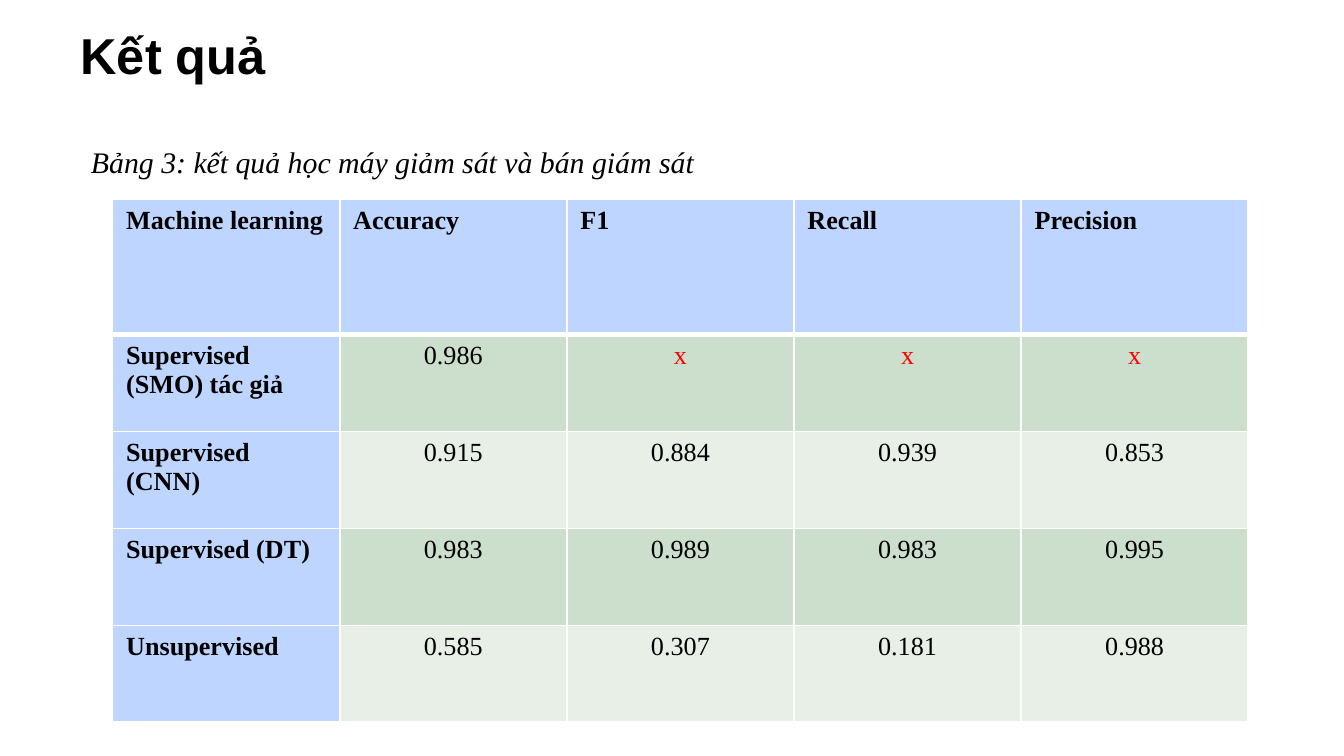
from lxml import etree
from pptx import Presentation
from pptx.dml.color import RGBColor
from pptx.enum.text import MSO_ANCHOR, MSO_AUTO_SIZE, PP_ALIGN
from pptx.oxml.ns import qn
from pptx.util import Cm, Pt

LEFT, CENTER = PP_ALIGN.LEFT, PP_ALIGN.CENTER
MIDDLE = MSO_ANCHOR.MIDDLE
NO_FIT, FIT_SHAPE = MSO_AUTO_SIZE.NONE, MSO_AUTO_SIZE.SHAPE_TO_FIT_TEXT

SANS, SERIF = "Arial", "Times New Roman"
BLACK, WHITE, RED = "000000", "FFFFFF", "FF0000"
HEADER_BLUE = "BED5FF"
BANDS = ("CCDECC", "E7EFE7")

RESULTS = [
    ("Machine learning", "Accuracy", "F1", "Recall", "Precision"),
    ("Supervised (SMO) tác giả", "0.986", "x", "x", "x"),
    ("Supervised (CNN)", "0.915", "0.884", "0.939", "0.853"),
    ("Supervised (DT)", "0.983", "0.989", "0.983", "0.995"),
    ("Unsupervised", "0.585", "0.307", "0.181", "0.988"),
]


def rgb(color):
    return RGBColor.from_string(color)


def set_text(tf, text, font, size, color=BLACK, bold=False, italic=False, align=LEFT):
    tf.text = text
    p = tf.paragraphs[0]
    p.alignment = align
    f = p.runs[0].font
    f.name, f.size, f.bold, f.italic = font, Pt(size), bold, italic
    f.color.rgb = rgb(color)


def set_borders(cell, color, widths):
    """Draw the left, right, top and bottom borders, widths in points."""
    tc_pr = cell._tc.get_or_add_tcPr()
    for i, (side, width) in enumerate(zip("LRTB", widths)):
        ln = etree.Element(qn(f"a:ln{side}"), w=str(Pt(width)))
        fill = etree.SubElement(ln, qn("a:solidFill"))
        etree.SubElement(fill, qn("a:srgbClr"), val=color)
        tc_pr.insert(i, ln)


def add_title(s, text):
    title = s.shapes.title
    title.left, title.top, title.width, title.height = Cm(1.27), Cm(0.41), Cm(22.86), Cm(1.22)
    tf = title.text_frame
    tf.auto_size = NO_FIT
    tf.vertical_anchor = MIDDLE
    set_text(tf, text, SANS, 27, bold=True)


def add_caption(s, text):
    tf = s.shapes.add_textbox(Cm(1.47), Cm(2.59), Cm(11.94), Cm(0.94)).text_frame
    tf.word_wrap = False
    tf.auto_size = FIT_SHAPE
    set_text(tf, text, SERIF, 16, italic=True)


def add_results_table(s, rows):
    table = s.shapes.add_table(len(rows), len(rows[0]), Cm(2.13), Cm(3.77),
                               Cm(21.46), Cm(9.88)).table
    for i, row in enumerate(table.rows):
        row.height = Cm(1.83) if i else Cm(2.56)

    for i, values in enumerate(rows):
        for j, value in enumerate(values):
            cell = table.cell(i, j)
            heading = i == 0 or j == 0
            set_text(cell.text_frame, value, SERIF, 14, RED if value == "x" else BLACK,
                     bold=heading, align=LEFT if heading else CENTER)
            cell.fill.solid()
            cell.fill.fore_color.rgb = rgb(HEADER_BLUE if heading else BANDS[(i - 1) % 2])
            # A thick rule parts the header row from the body
            set_borders(cell, WHITE, (1, 1, 3 if i == 1 else 1, 3 if i == 0 else 1))


def main():
    prs = Presentation()
    prs.slide_width, prs.slide_height = Cm(25.4), Cm(14.29)
    s = prs.slides.add_slide(prs.slide_layouts[5])

    add_title(s, "Kết quả")
    add_results_table(s, RESULTS)
    add_caption(s, "Bảng 3: kết quả học máy giảm sát và bán giám sát")

    prs.save("out.pptx")


if __name__ == "__main__":
    main()
